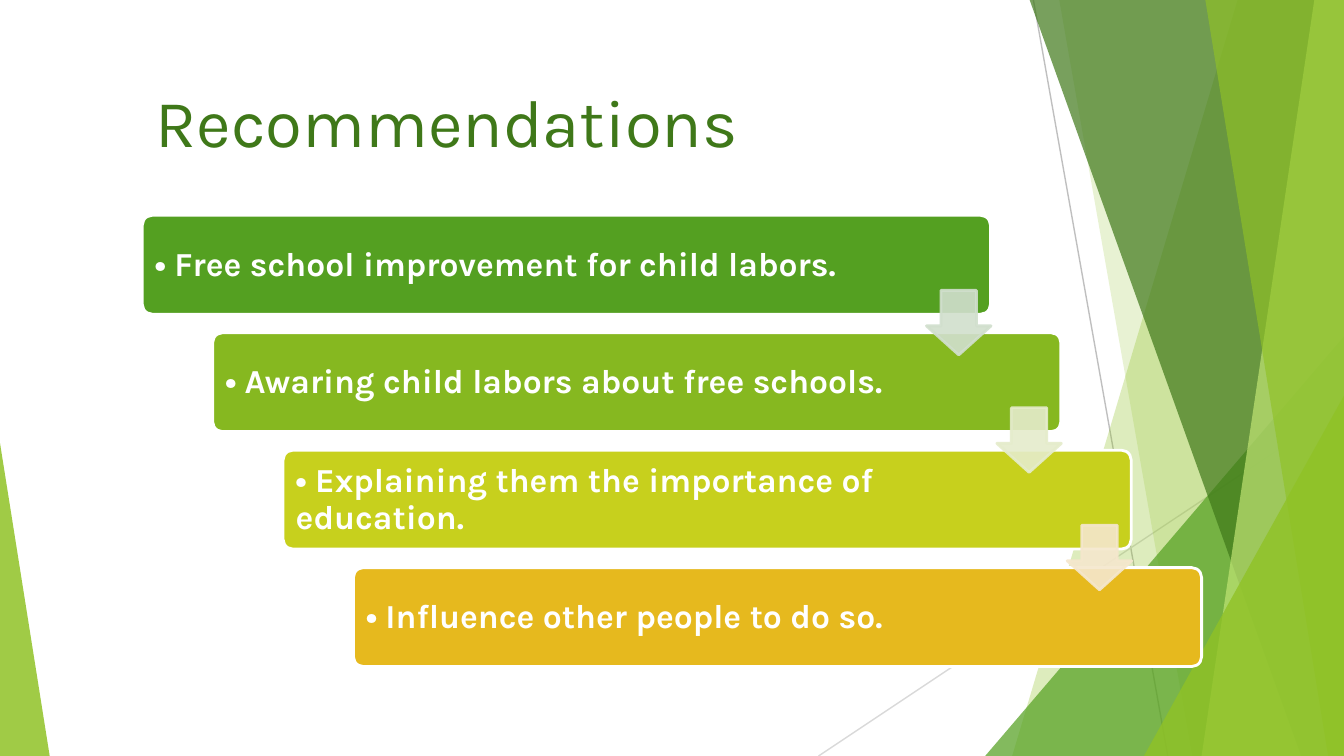
from dataclasses import dataclass

from lxml import etree
from pptx import Presentation
from pptx import util as u
from pptx.dml import color as col
from pptx.enum import shapes as sh, text as tx
from pptx.oxml import ns


@dataclass
class Theme:
    font: str = "Karla"
    head: int = 36
    body: int = 18
    white: str = "FFFFFF"
    dark: str = "3F7819"
    green: str = "54A021"
    lime: str = "90C226"
    pale: str = "C0E474"
    rules: tuple = ("BFBFBF", "D9D9D9")
    bars: tuple = ("54A021", "86B820", "C7D01D", "E6B91E")
    arrows: tuple = ("D1DFCD", "E5ECCB", "F5E7CD")


def paint(shape, fill, alpha=100, edge=None):
    shape.shadow.inherit = False
    shape.fill.solid()
    shape.fill.fore_color.rgb = col.RGBColor.from_string(fill)
    if edge:
        shape.line.width = u.Pt(1.5)
        shape.line.color.rgb = col.RGBColor.from_string(edge)
    else:
        shape.line.fill.background()
    if alpha < 100:
        for tone in shape._element.spPr.iter(ns.qn("a:srgbClr")):
            etree.SubElement(tone, ns.qn("a:alpha"), val=str(alpha * 1000))


def write(box, words, size, tone, bold, pad, anchor, space):
    frame = box.text_frame
    frame.text = words
    line = frame.paragraphs[0]
    form = {
        frame: {"word_wrap": True, "auto_size": tx.MSO_AUTO_SIZE.NONE,
                "vertical_anchor": anchor,
                **{"margin_" + side: u.Cm(pad)
                   for side in ("left", "top", "right", "bottom")}},
        line: {"alignment": tx.PP_ALIGN.LEFT, "line_spacing": space},
        line.runs[0].font: {"name": theme.font, "size": u.Pt(size), "bold": bold},
    }
    for part, vals in form.items():
        for name, val in vals.items():
            setattr(part, name, val)
    line.runs[0].font.color.rgb = col.RGBColor.from_string(tone)


theme = Theme()
wide, high = 25.4, 14.29
deck = Presentation()
deck.slide_width, deck.slide_height = u.Cm(wide), u.Cm(high)
slide = deck.slides.add_slide(deck.slide_layouts[5])
items = slide.shapes
title = items.title

rules = [(19.53, 0, 22.07, high), (wide, 7.67, 15.47, high)]
for ends, tone in zip(rules, theme.rules):
    rule = items.add_connector(sh.MSO_CONNECTOR.STRAIGHT, *map(u.Cm, ends))
    rule.line.width = u.Pt(0.75)
    rule.line.color.rgb = col.RGBColor.from_string(tone)
    etree.SubElement(rule._element.spPr, ns.qn("a:effectLst"))

facets = [
    ("band", 23.39, 19.13, theme.lime, 30),
    ("band", 20.02, 22.53, theme.lime, 20),
    ("right", 6.78, 7.93, theme.green, 72),
    ("band", 19.46, 24.59, theme.dark, 70),
    ("band", 24.84, 22.71, theme.pale, 70),
    ("band", 22.78, 25.1, theme.lime, 65),
    ("right", 3.78, 6.81, theme.lime, 80),
    ("left", 0.94, 5.92, theme.lime, 85),
]
for kind, one, two, tone, alpha in facets:
    if kind == "band":
        pen = items.build_freeform(u.Cm(one), 0)
        ends = [(wide, 0), (wide, high), (two, high)]
        pen.add_line_segments([(u.Cm(x), u.Cm(y)) for x, y in ends])
        facet = pen.convert_to_shape()
    else:
        left = wide - one if kind == "right" else 0
        facet = items.add_shape(sh.MSO_SHAPE.ISOSCELES_TRIANGLE,
                                *map(u.Cm, (left, high - two, one, two)))
        facet.adjustments[0] = 1 if kind == "right" else 0
    paint(facet, tone, alpha)

title.left, title.top, title.width, title.height = map(u.Cm, (2.69, 1.27, 21.23, 2.29))
write(title, "Recommendations", theme.head, theme.dark, False, 0.25,
      tx.MSO_ANCHOR.TOP, 1.0)
items._spTree.append(title._element)

points = [
    "• Free school improvement for child labors.",
    "• Awaring child labors about free schools.",
    "• Explaining them the importance of education.",
    "• Influence other people to do so.",
]
spots = [(2.69 + 1.33 * i, 4.07 + 2.22 * i) for i in range(len(points))]
for (left, top), words, tone in zip(spots, points, theme.bars):
    bar = items.add_shape(sh.MSO_SHAPE.ROUNDED_RECTANGLE,
                          *map(u.Cm, (left, top, 16.03, 1.87)))
    bar.adjustments[0] = 0.1
    paint(bar, tone, edge=theme.white)
    span = 13.84 if words == points[0] else 13.37
    box = items.add_textbox(*map(u.Cm, (left + 0.06, top + 0.06, span, 1.77)))
    write(box, words, theme.body, theme.white, True, 0.18,
          tx.MSO_ANCHOR.MIDDLE, 0.9)

for (left, top), tone in zip(spots, theme.arrows):
    arrow = items.add_shape(sh.MSO_SHAPE.DOWN_ARROW,
                            *map(u.Cm, (left + 14.82, top + 1.42, 1.22, 1.22)))
    arrow.adjustments[0], arrow.adjustments[1] = 0.55, 0.45
    paint(arrow, tone, 90, tone)

deck.save("out.pptx")
